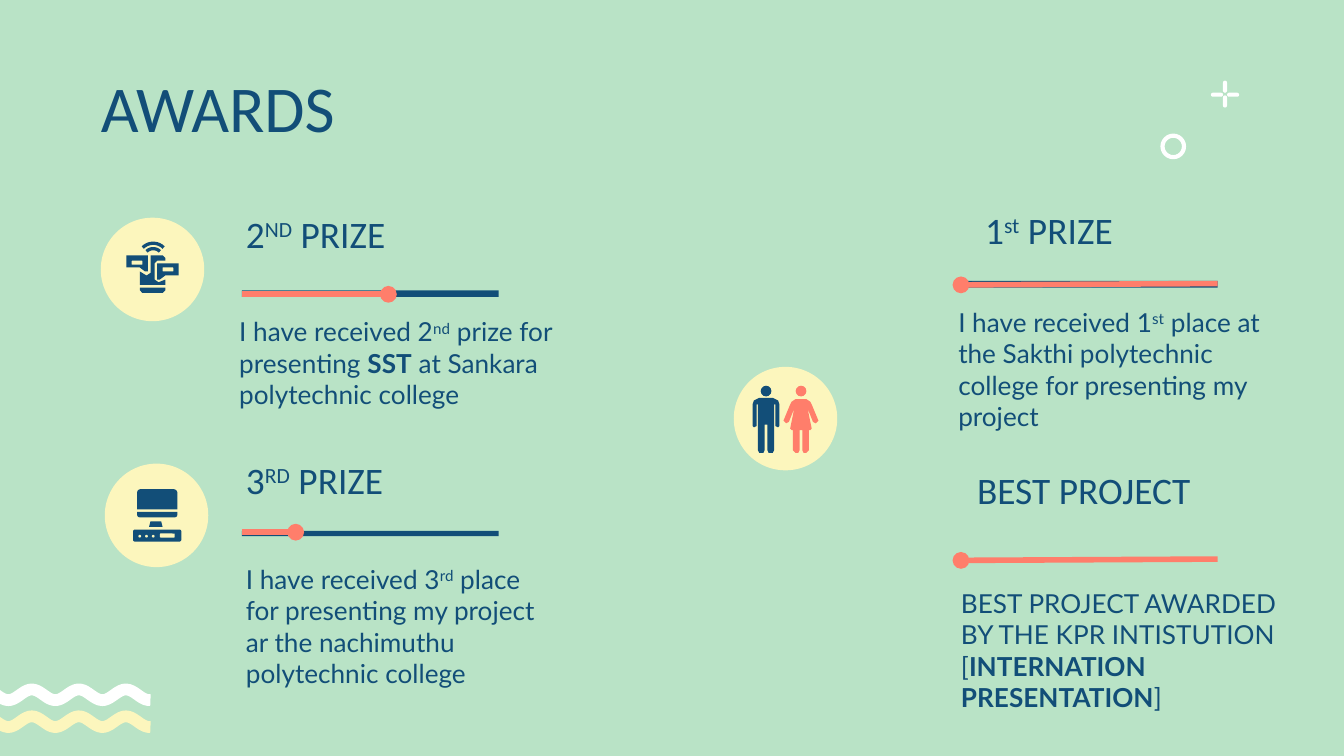
from math import cos, pi, radians, sin

from lxml.etree import SubElement
from pptx import Presentation
from pptx.dml.color import RGBColor
from pptx.enum.shapes import MSO_CONNECTOR, MSO_SHAPE as Kind
from pptx.enum.text import MSO_ANCHOR as Anchor, PP_ALIGN as Align
from pptx.oxml.ns import qn
from pptx.util import Inches, Pt

MINT, NAVY, CORAL, CREAM, WHITE = "B9E3C6", "124E78", "FF7E6B", "FCF6BD", "FFFFFF"
DISC = 0.77
TRACK = 1.91

# Heading box, heading runs, track top and height, progress line, body box, body runs
AWARDS = [
    ((1.83, 1.57), [("2", ""), ("ND", "sup"), (" PRIZE", "")],
     (1.8, 2.16, 0.05), (1.8, 2.19, 2.89, 2.19), (1.78, 2.35, 2.49),
     [("I have received 2", ""), ("nd", "sup"), (" prize for presenting ", ""),
      ("SST", "bold"), (" at Sankara polytechnic college", "")]),
    ((1.83, 3.4), [("3", ""), ("RD", "sup"), (" PRIZE", "")],
     (1.8, 3.95, 0.04), (1.8, 3.96, 2.2, 3.96), (1.83, 4.19, 2.3),
     [("I have received 3", ""), ("rd", "sup"),
      (" place for presenting my project ar the nachimuthu polytechnic college", "")]),
    ((7.33, 1.54), [("1", ""), ("st", "sup"), (" PRIZE", "")],
     (7.15, 2.09, 0.05), (9.06, 2.11, 7.15, 2.12), (7.13, 2.28, 2.49),
     [("I have received 1", ""), ("st", "sup"),
      (" place at the Sakthi polytechnic college for presenting my project", "")]),
    ((7.27, 3.48), [("BEST PROJECT", "")],
     None, (9.06, 4.16, 7.15, 4.17), (7.15, 4.37, 2.49),
     [("BEST PROJECT AWARDED BY THE KPR INTISTUTION [", ""),
      ("INTERNATION PRESENTATION", "bold"), ("]", "")]),
]

# Right halves of the figures: distance from the axis, then height on the page
MAN = [(0.05, 2.96), (0.09, 2.98), (0.1, 3.01), (0.1, 3.17), (0.09, 3.18), (0.07, 3.17),
       (0.07, 3.01), (0.06, 3.01), (0.06, 3.35), (0.05, 3.37), (0.02, 3.37), (0.01, 3.35),
       (0.01, 3.16)]
WOMAN = [(0.04, 2.97), (0.07, 2.99), (0.08, 3.01), (0.13, 3.13), (0.11, 3.15), (0.09, 3.14),
         (0.05, 3.04), (0.08, 3.19), (0.07, 3.2), (0.06, 3.2), (0.06, 3.35), (0.04, 3.37),
         (0.02, 3.37), (0.01, 3.35), (0.01, 3.2)]


def rgb(color):
    return RGBColor.from_string(color)


def paint(shape, color):
    shape.shadow.inherit = False
    shape.fill.solid()
    shape.fill.fore_color.rgb = rgb(color)
    shape.line.fill.background()


def outline(shape, color, width):
    shape.shadow.inherit = False
    shape.fill.background()
    shape.line.color.rgb = rgb(color)
    shape.line.width = Pt(width)


def add_block(page, kind, left, top, width, height, color):
    shape = page.shapes.add_shape(kind, *map(Inches, (left, top, width, height)))
    paint(shape, color)
    return shape


def add_path(page, points, closed):
    corners = [(Inches(x), Inches(y)) for x, y in points]
    builder = page.shapes.build_freeform(*corners[0])
    builder.add_line_segments(corners[1:], close=closed)
    return builder.convert_to_shape()


def add_polygon(page, points, color):
    paint(add_path(page, points, True), color)


def add_stroke(page, points, color, width):
    outline(add_path(page, points, False), color, width)


def add_progress(page, x1, y1, x2, y2):
    line = page.shapes.add_connector(MSO_CONNECTOR.STRAIGHT, *map(Inches, (x1, y1, x2, y2)))
    line.line.color.rgb = rgb(CORAL)
    line.line.width = Pt(3)
    SubElement(line.line._get_or_add_ln(), qn("a:tailEnd"), type="oval")
    SubElement(line._element.spPr, qn("a:effectLst"))


def write(box, runs, size, font):
    frame = box.text_frame
    frame.word_wrap = True
    frame.vertical_anchor = Anchor.TOP
    frame.margin_left = frame.margin_right = frame.margin_top = frame.margin_bottom = 0
    para = frame.paragraphs[0]
    para.alignment = Align.LEFT
    for text, style in runs:
        span = para.add_run()
        span.text = text
        span.font.size = Pt(size)
        span.font.name = font
        span.font.color.rgb = rgb(NAVY)
        span.font.bold = style == "bold"
        if style == "sup":
            span._r.get_or_add_rPr().set("baseline", "30000")


def add_text(page, left, top, width, height, *style):
    box = page.shapes.add_textbox(*map(Inches, (left, top, width, height)))
    write(box, *style)


def add_award(page, heading, heading_runs, track, progress, body, body_runs):
    add_text(page, *heading, 2, 0.4, heading_runs, 20, "Calibri")
    if track:
        left, top, height = track
        add_block(page, Kind.RECTANGLE, left, top, TRACK, height, NAVY)
    add_progress(page, *progress)
    add_text(page, *body, 0.55, body_runs, 14, "Lato")


def add_decorations(page):
    # Ring and plus sign
    ring = add_block(page, Kind.OVAL, 8.65, 1.01, 0.16, 0.16, WHITE)
    outline(ring, WHITE, 2.25)
    for left, top, width, height in [(9.1, 0.6, 0.03, 0.09), (9.1, 0.71, 0.03, 0.09),
                                     (9.13, 0.69, 0.09, 0.03), (9.01, 0.69, 0.09, 0.03)]:
        arm = add_block(page, Kind.ROUNDED_RECTANGLE, left, top, width, height, WHITE)
        arm.adjustments[0] = 0.5
    # Waves that run in from the left edge
    for middle, color in [(5.17, WHITE), (5.37, CREAM)]:
        wave = [(x / 100, middle - 0.04 * sin(2 * pi * (x / 100 - 0.15) / 0.35))
                for x in range(-4, 113, 2)]
        add_stroke(page, wave, color, 6.28)


def add_phone_icon(page):
    add_block(page, Kind.OVAL, 0.75, 1.62, DISC, DISC, CREAM)
    for radius in (0.11, 0.07):
        arc = [(1.14 + radius * cos(radians(a)), 1.92 + radius * sin(radians(a)))
               for a in range(225, 316, 10)]
        add_stroke(page, arc, NAVY, 1.75)
    add_polygon(page, [(1.12, 1.9), (1.21, 1.9), (1.23, 1.92), (1.23, 1.94), (1.17, 1.94),
                       (1.15, 1.96), (1.15, 2.08), (1.18, 2.1), (1.23, 2.08), (1.23, 2.12),
                       (1.04, 2.12), (1.04, 2.02), (1.09, 2.05), (1.12, 2.03)], NAVY)
    add_polygon(page, [(1.04, 2.14), (1.23, 2.14), (1.23, 2.16), (1.21, 2.18),
                       (1.06, 2.18), (1.04, 2.16)], NAVY)
    # The right speech bubble mirrors the left one, a little lower
    bubble = [(0.94, 1.9), (1.1, 1.9), (1.1, 2.02), (1.08, 2.02), (1.04, 1.99), (0.94, 1.99)]
    add_polygon(page, bubble, NAVY)
    add_polygon(page, [(2.27 - x, y + 0.06) for x, y in bubble], NAVY)
    for left, top in [(0.98, 1.94), (1.21, 1.99)]:
        add_block(page, Kind.ROUNDED_RECTANGLE, left, top, 0.08, 0.03, CREAM)


def add_computer_icon(page):
    add_block(page, Kind.OVAL, 0.78, 3.45, DISC, DISC, CREAM)
    add_block(page, Kind.ROUND_2_SAME_RECTANGLE, 1.02, 3.64, 0.3, 0.15, NAVY)
    base = add_block(page, Kind.ROUND_2_SAME_RECTANGLE, 1.02, 3.81, 0.3, 0.04, NAVY)
    base.adjustments[0], base.adjustments[1] = 0, 0.5
    add_block(page, Kind.TRAPEZOID, 1.11, 3.88, 0.1, 0.04, NAVY)
    add_block(page, Kind.ROUNDED_RECTANGLE, 0.99, 3.94, 0.36, 0.09, NAVY)
    for column in range(3):
        add_block(page, Kind.OVAL, 1.03 + 0.05 * column, 3.98, 0.02, 0.02, CREAM)
    add_block(page, Kind.ROUNDED_RECTANGLE, 1.19, 3.97, 0.11, 0.03, CREAM)


def add_people_icon(page):
    add_block(page, Kind.OVAL, 5.46, 2.73, DISC, DISC, CREAM)
    for axis, half, color in [(5.7, MAN, NAVY), (5.96, WOMAN, CORAL)]:
        add_block(page, Kind.OVAL, axis - 0.04, 2.87, 0.08, 0.08, color)
        right = [(axis + x, y) for x, y in half]
        left = [(axis - x, y) for x, y in reversed(half)]
        add_polygon(page, right + left, color)


def main():
    deck = Presentation()
    deck.slide_width = Inches(10)
    deck.slide_height = deck.slide_width * 9 // 16
    page = deck.slides.add_slide(deck.slide_layouts[5])
    page.background.fill.solid()
    page.background.fill.fore_color.rgb = rgb(MINT)
    add_decorations(page)

    # Title
    title = page.shapes.title
    title.left, title.top, title.width, title.height = map(Inches, (0.75, 0.5, 8.47, 0.7))
    write(title, [("AWARDS", "")], 35, "Calibri")

    # Awards and icons
    for award in AWARDS:
        add_award(page, *award)
    add_phone_icon(page)
    add_computer_icon(page)
    add_people_icon(page)
    deck.save("out.pptx")


if __name__ == "__main__":
    main()
